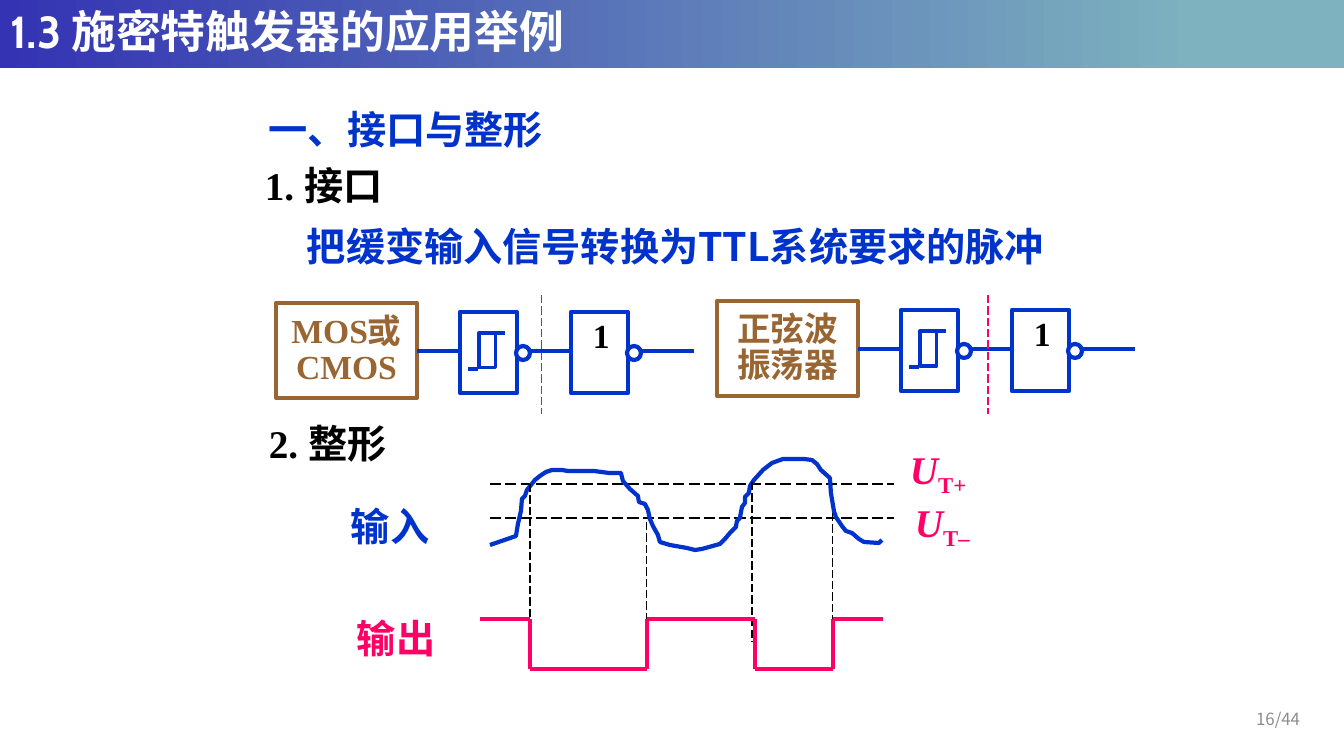
import itertools
import pptx
import pptx.util
import pptx.dml.color
import pptx.enum.dml
import pptx.enum.shapes
import pptx.enum.text
import pptx.oxml.ns
import lxml.etree

RGB = pptx.dml.color.RGBColor
BLUE = RGB(0x00, 0x33, 0xCC)
PINK = RGB(0xFF, 0x00, 0x66)
BROWN = RGB(0x99, 0x66, 0x33)
BLACK = RGB(0, 0, 0)
WHITE = RGB(0xFF, 0xFF, 0xFF)
GREY = RGB(0x8C, 0x8C, 0x8C)
BAR_STOPS = [(0, RGB(0x33, 0x33, 0xB3)), (0.89, RGB(0x7D, 0xB2, 0xBE))]
TIMES, NOTO, CABIN = "Times New Roman", "Noto Sans CJK SC", "Cabin"
KIND = pptx.enum.shapes.MSO_SHAPE
ALIGN = pptx.enum.text.PP_ALIGN
MIDDLE = pptx.enum.text.MSO_ANCHOR.MIDDLE
PX = 914400 / 100.8

TITLE = "1.3 施密特触发器的应用举例"
# text, box, font, colour
LABELS = [
    ("一、接口与整形", (259, 100, 362, 57), TIMES, BLUE),
    ("1. 接口", (255, 156, 307, 57), TIMES, BLACK),
    ("把缓变输入信号转换为TTL系统要求的脉冲", (297, 217, 810, 57), NOTO, BLUE),
    ("2. 整形", (259, 414, 301, 57), TIMES, BLACK),
    ("输出", (347, 609, 144, 57), TIMES, PINK),
]
INPUT_LABEL = ("输入", (351, 502, 110, 47), NOTO, BLUE)
# subscript, box, level of the dashed line
THRESHOLDS = [("T+", (900, 440, 92, 57), 484), ("T–", (905, 493, 86, 57), 518)]
# source lines, left, top, x of the dashed divider
CIRCUITS = [(["MOS或", "CMOS"], 276, 303, 542), (["正弦波", "振荡器"], 717, 301, 988)]
GATE_XS = (184, 295)
# x, top, bottom of the dashed drops from input to output
DROPS = [(530, 484, 644), (647, 522, 644), (752, 482, 641), (833, 513, 664)]
HIGH, LOW = 619, 669
OUTPUT_EDGES = [530, 647, 755, 833]
OUTPUT_ENDS = (480, 883)
INPUT_WAVE = [
    (490, 545), (516, 536), (518, 524), (521, 511), (522, 499), (525, 496), (527, 490),
    (531, 485), (535, 480), (540, 476), (546, 472), (552, 470), (562, 470), (568, 471),
    (594, 471), (609, 473), (621, 473), (623, 481), (630, 489), (638, 496), (639, 502),
    (645, 504), (648, 510), (650, 519), (653, 526), (658, 535), (660, 542), (670, 545),
    (687, 548), (695, 550), (702, 549), (720, 544), (725, 539), (730, 533), (736, 527),
    (737, 521), (740, 518), (742, 507), (745, 503), (745, 497), (749, 493), (750, 486),
    (754, 480), (763, 470), (772, 463), (783, 459), (804, 459), (812, 460), (817, 464),
    (821, 470), (830, 478), (831, 493), (834, 511), (836, 517), (842, 526), (846, 531),
    (852, 533), (859, 539), (864, 542), (879, 543), (882, 540),
]


def emu(*lengths):
    """Turn pixel lengths into EMU."""
    return [pptx.util.Emu(round(v * PX)) for v in lengths]


def add_run(p, text, size, font, color, bold=True, italic=None):
    """Add one formatted run, with a matching East Asian font."""
    r = p.add_run()
    r.text = text
    f = r.font
    f.size, f.name, f.bold, f.italic = pptx.util.Pt(size), font, bold, italic
    f.color.rgb = color
    ea = lxml.etree.SubElement(r._r.get_or_add_rPr(), pptx.oxml.ns.qn("a:ea"))
    ea.set("typeface", NOTO)
    return r


def add_text(box, text=None, font=TIMES, color=BLACK, size=28, bold=True, wrap=True):
    """Add a text box and return its frame."""
    tf = s.shapes.add_textbox(*emu(*box)).text_frame
    tf.word_wrap = wrap
    if text:
        add_run(tf.paragraphs[0], text, size, font, color, bold)
    return tf


def add_box(kind, box, color, width=3):
    """Add a white preset shape with a coloured outline."""
    sp = s.shapes.add_shape(kind, *emu(*box))
    sp.shadow.inherit = False
    sp.fill.solid()
    sp.fill.fore_color.rgb = WHITE
    sp.line.color.rgb = color
    sp.line.width = pptx.util.Pt(width)
    return sp


def add_line(start, end, color, width, dashed=False):
    """Add a straight line between two points."""
    c = s.shapes.add_connector(pptx.enum.shapes.MSO_CONNECTOR.STRAIGHT, *emu(*start, *end))
    c.line.color.rgb = color
    c.line.width = pptx.util.Pt(width)
    if dashed:
        c.line.dash_style = pptx.enum.dml.MSO_LINE.LONG_DASH
    lxml.etree.SubElement(c._element.spPr, pptx.oxml.ns.qn("a:effectLst"))


def add_circuit(lines, x, y, divider):
    """Draw a signal source, a Schmitt inverter and a plain inverter in a row."""
    tf = add_box(KIND.RECTANGLE, (x, y, 141, 95), BROWN).text_frame
    tf.word_wrap = False
    tf.vertical_anchor = MIDDLE
    for i, line in enumerate(lines):
        p = tf.add_paragraph() if i else tf.paragraphs[0]
        p.alignment, p.line_spacing = ALIGN.CENTER, 0.9
        add_run(p, line, 24, TIMES, BROWN)
    add_line((x + 141, y + 48), (x + 418, y + 48), BLUE, 2.25)
    for gate_x in GATE_XS:
        add_box(KIND.RECTANGLE, (x + gate_x, y + 9, 57, 81), BLUE)
        add_box(KIND.OVAL, (x + gate_x + 56, y + 43, 14, 14), BLUE)
    add_box(KIND.RECTANGLE, (x + 203, y + 30, 17, 35), BLUE, 2.25)
    add_line((x + 219, y + 30), (x + 229, y + 30), BLUE, 2.25)
    add_line((x + 192, y + 66), (x + 202, y + 66), BLUE, 2.25)
    add_text((x + 307, y + 7, 37, 50), "1", size=24, wrap=False)
    add_line((divider, 295), (divider, 414), PINK, 0.75, True)


prs = pptx.Presentation()
prs.slide_width, prs.slide_height = emu(1344, 756)
s = prs.slides.add_slide(prs.slide_layouts[5])

title = s.shapes.title
title.left, title.top, title.width, title.height = emu(0, 0, 1344, 68)
tf = title.text_frame
tf.auto_size = pptx.enum.text.MSO_AUTO_SIZE.NONE
tf.vertical_anchor = MIDDLE
p = tf.paragraphs[0]
p.alignment, p.line_spacing = ALIGN.LEFT, 0.9
add_run(p, TITLE, 32, CABIN, WHITE)

bar = add_box(KIND.RECTANGLE, (0, 0, 1344, 68), WHITE)
bar.line.fill.background()
bar.fill.gradient()
bar.fill.gradient_angle = 0
for stop, (position, color) in zip(bar.fill.gradient_stops, BAR_STOPS):
    stop.position, stop.color.rgb = position, color
title._element.addprevious(bar._element)

for text, box, font, color in LABELS:
    add_text(box, text, font, color)
text, box, font, color = INPUT_LABEL
tf = add_text(box, text, font, color)
tf.margin_left = tf.margin_top = tf.margin_right = tf.margin_bottom = 0

for circuit in CIRCUITS:
    add_circuit(*circuit)

for subscript, box, level in THRESHOLDS:
    add_line((490, level), (894, level), BLACK, 1, True)
    p = add_text(box).paragraphs[0]
    p.space_before = pptx.util.Pt(4)
    add_run(p, "U", 28, TIMES, PINK, italic=True)
    r = add_run(p, subscript, 28, TIMES, PINK, italic=False)
    r._r.get_or_add_rPr().set("baseline", "-25000")

builder = s.shapes.build_freeform(*INPUT_WAVE[0], scale=PX)
builder.add_line_segments(INPUT_WAVE[1:], close=False)
wave = builder.convert_to_shape()
wave.shadow.inherit = False
wave.fill.background()
wave.line.color.rgb = BLUE
wave.line.width = pptx.util.Pt(3)

for x, top, bottom in DROPS:
    add_line((x, top), (x, bottom), BLACK, 0.75, True)

pulse = [(OUTPUT_ENDS[0], HIGH)]
for x, levels in zip(OUTPUT_EDGES, itertools.cycle([(HIGH, LOW), (LOW, HIGH)])):
    pulse += [(x, level) for level in levels]
pulse.append((OUTPUT_ENDS[1], HIGH))
for start, end in zip(pulse, pulse[1:]):
    add_line(start, end, PINK, 3)

tf = add_text((1178, 699, 132, 40), "16/44", NOTO, GREY, 12, False)
tf.vertical_anchor = MIDDLE
tf.paragraphs[0].alignment = ALIGN.RIGHT

prs.save("out.pptx")
